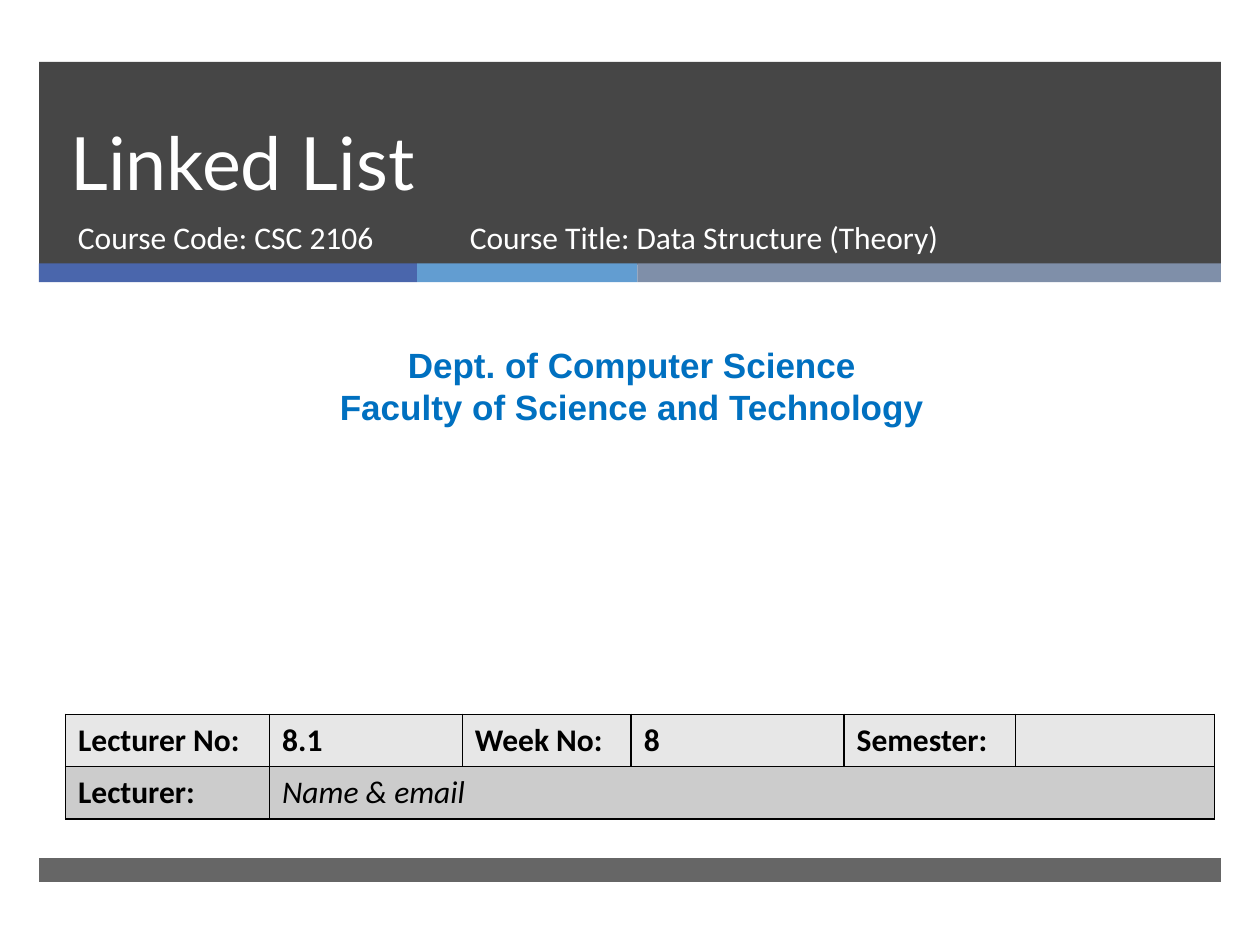
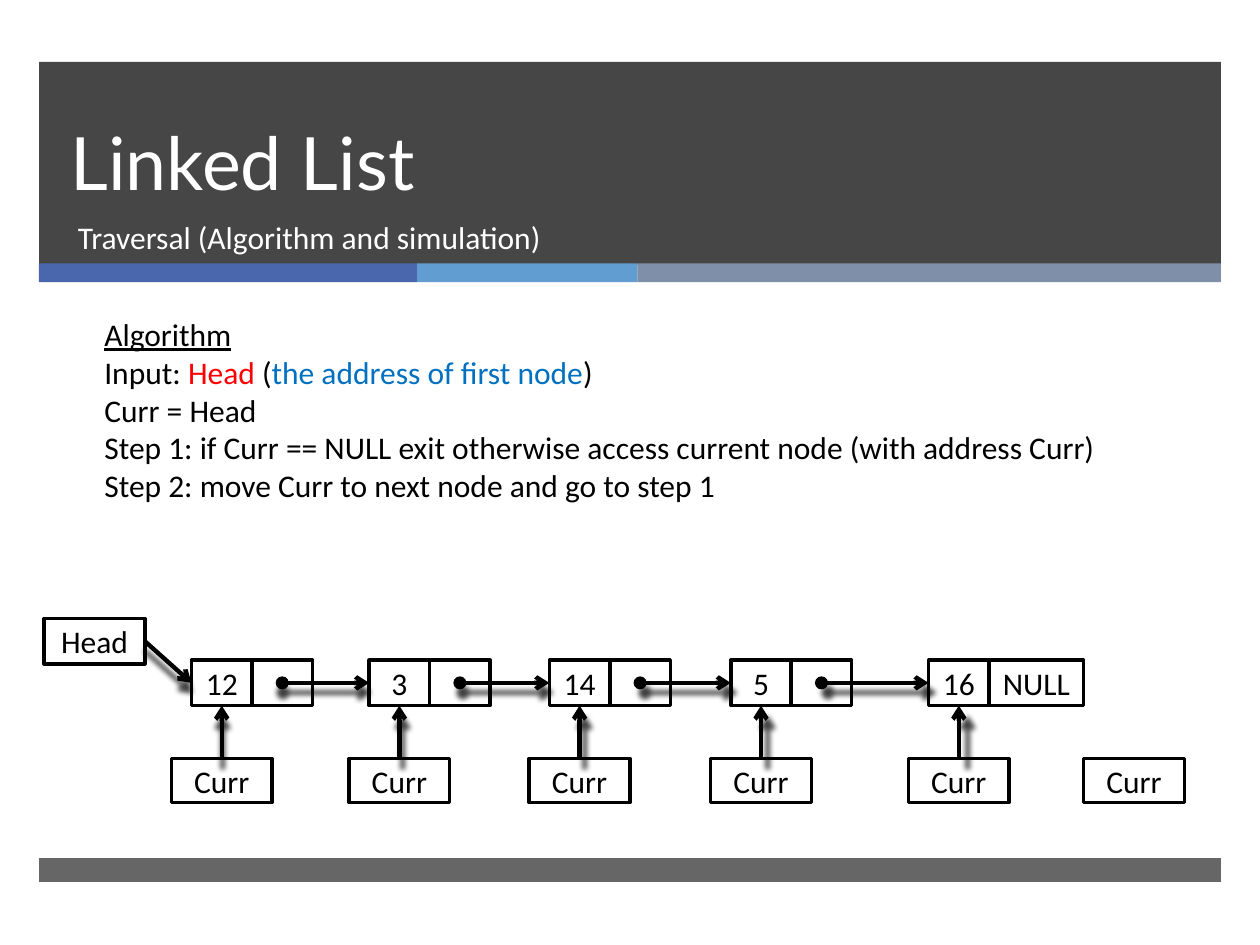
from itertools import pairwise

from lxml.etree import SubElement
from pptx import Presentation
from pptx.dml.color import RGBColor
from pptx.enum.shapes import MSO_CONNECTOR, MSO_SHAPE
from pptx.enum.text import MSO_ANCHOR, MSO_AUTO_SIZE, PP_ALIGN
from pptx.oxml.ns import qn
from pptx.util import Inches, Pt

RECTANGLE = MSO_SHAPE.RECTANGLE
STRAIGHT = MSO_CONNECTOR.STRAIGHT
LEFT, CENTER = PP_ALIGN.LEFT, PP_ALIGN.CENTER
MIDDLE, BOTTOM = MSO_ANCHOR.MIDDLE, MSO_ANCHOR.BOTTOM
NO_AUTOFIT = MSO_AUTO_SIZE.NONE

BLACK, WHITE, CHARCOAL = "000000", "FFFFFF", "262626"
BLUE, RED = "0070C0", "FF0000"
ROW_FILLS = ("E7E7E7", "CCCCCC")
STRIPES = ((3, "4A66AC"), (1.75, "629DD1"), (4.63, "7F8FA9"))
BAND_LEFT, BAND_WIDTH = 0.31, 9.38
SUBTITLE_TOP, SUBTITLE_HEIGHT = 1.68, 0.53

NODE_TOP, CELL_WIDTH, CELL_HEIGHT = 5.24, 0.48, 0.36
LABEL_WIDTH, CURR_TOP, CURR_HEIGHT = 0.8, 6.02, 0.35


def color(hex_code):
    """Turn a hex string into a colour."""
    return RGBColor.from_string(hex_code)


def style(font, size=18, name="Calibri", ink=BLACK, bold=False, italic=False):
    """Set the look of a font."""
    font.size, font.name = Pt(size), name
    font.bold, font.italic = bold, italic
    font.color.rgb = color(ink)


def add_band(slide, box, fill, opacity=100):
    """Add a plain band without outline."""
    band = slide.shapes.add_shape(RECTANGLE, *map(Inches, box))
    band.shadow.inherit = False
    band.fill.solid()
    band.fill.fore_color.rgb = color(fill)
    band.line.fill.background()
    if opacity < 100:
        tint = band.element.spPr.find(qn("a:solidFill"))[0]
        SubElement(tint, qn("a:alpha"), val=str(opacity * 1000))
    return band


def move_bands_to_layout(slide):
    """Build the header, stripes and footer and hand them to the layout."""
    bands = [add_band(slide, (BAND_LEFT, 0.49, BAND_WIDTH, 1.61), CHARCOAL, 85)]
    left = BAND_LEFT
    for width, fill in STRIPES:
        bands.append(add_band(slide, (left, 2.09, width, 0.15), fill))
        left += width
    bands.append(add_band(slide, (BAND_LEFT, 6.81, BAND_WIDTH, 0.19), CHARCOAL, 70))
    layout_tree = slide.slide_layout.shapes.element
    for position, band in enumerate(bands, start=2):
        layout_tree.insert(position, band.element)


def add_title(slide, text):
    """Place and format the title placeholder."""
    title = slide.shapes.title
    title.left, title.top = Inches(0.46), Inches(0.49)
    title.width, title.height = Inches(8.54), Inches(1.19)
    frame = title.text_frame
    frame.text = text
    frame.auto_size, frame.vertical_anchor = NO_AUTOFIT, BOTTOM
    heading = frame.paragraphs[0]
    heading.alignment, heading.line_spacing = LEFT, Pt(46)
    style(heading.font, 42, "Lato", WHITE)


def add_text(slide, box, lines, align=LEFT, **look):
    """Add a wrapping text box and return its paragraphs."""
    frame = slide.shapes.add_textbox(*map(Inches, box)).text_frame
    frame.word_wrap = True
    frame.text = "\n".join(lines)
    for paragraph in frame.paragraphs:
        paragraph.alignment = align
        style(paragraph.font, **look)
    return frame.paragraphs


def add_subtitle(slide, left, width, text):
    """Add a line of white text at the foot of the header."""
    add_text(slide, (left, SUBTITLE_TOP, width, SUBTITLE_HEIGHT), [text], ink=WHITE)


def fill_cell(cell, text, fill, **look):
    """Write a table cell with black borders."""
    cell.text = text
    cell.vertical_anchor = MIDDLE
    style(cell.text_frame.paragraphs[0].font, **look)
    properties = cell._tc.get_or_add_tcPr()
    for side in ("a:lnL", "a:lnR", "a:lnT", "a:lnB"):
        border = SubElement(properties, qn(side), w=str(Pt(1)))
        SubElement(SubElement(border, qn("a:solidFill")), qn("a:srgbClr"), val=BLACK)
    cell.fill.solid()
    cell.fill.fore_color.rgb = color(fill)


def add_lecture_table(slide, box):
    """Add the table with lecture details."""
    rows = (("Lecturer No:", "8.1", "Week No:", "8", "Semester:", ""),
            ("Lecturer:", "Name & email", "", "", "", ""))
    table = slide.shapes.add_table(2, 6, *map(Inches, box)).table
    for column, width in zip(table.columns, (1.62, 1.53, 1.34, 1.69, 1.36, 1.58)):
        column.width = Inches(width)
    for r, (row, fill) in enumerate(zip(rows, ROW_FILLS)):
        for c, text in enumerate(row):
            is_name = r == 1 and c > 0
            fill_cell(table.cell(r, c), text, fill, bold=not is_name, italic=is_name)
    table.cell(1, 1).merge(table.cell(1, 5))


def add_box(slide, box, text=""):
    """Add an outlined white box with centred text."""
    shape = slide.shapes.add_shape(RECTANGLE, *map(Inches, box))
    shape.shadow.inherit = False
    shape.fill.solid()
    shape.fill.fore_color.rgb = color(WHITE)
    shape.line.color.rgb = color(BLACK)
    shape.line.width = Pt(2)
    frame = shape.text_frame
    frame.margin_left = frame.margin_right = 0
    frame.vertical_anchor = MIDDLE
    frame.text = text
    label = frame.paragraphs[0]
    label.alignment = CENTER
    style(label.font)


def add_arrow(slide, start, end, dotted=False):
    """Add a shadowed arrow, with a dot at its start if asked."""
    arrow = slide.shapes.add_connector(STRAIGHT, *map(Inches, start + end))
    arrow.line.color.rgb = color(BLACK)
    arrow.line.width = Pt(2.5)
    properties = arrow.element.spPr
    line = properties.find(qn("a:ln"))
    if dotted:
        SubElement(line, qn("a:headEnd"), type="oval")
    SubElement(line, qn("a:tailEnd"), type="arrow")
    shadow = SubElement(SubElement(properties, qn("a:effectLst")), qn("a:outerShdw"),
                        blurRad=str(Pt(3)), dist=str(Pt(2)), dir="6600000",
                        sx="101000", sy="101000", algn="tl", rotWithShape="0")
    tint = SubElement(shadow, qn("a:srgbClr"), val=BLACK)
    SubElement(tint, qn("a:alpha"), val="75000")


def add_algorithm(slide, box):
    """Add the steps of the traversal."""
    heading, given, *_ = add_text(slide, box, (
        "Algorithm", "", "Curr = Head",
        "Step 1: if Curr == NULL exit otherwise access current node (with address Curr)",
        "Step 2: move Curr to next node and go to step 1"))
    heading.font.underline = True
    for text, ink in (("Input: ", BLACK), ("Head", RED), (" (", BLACK),
                      ("the address of first node", BLUE), (")", BLACK)):
        run = given.add_run()
        run.text = text
        run.font.color.rgb = color(ink)


def add_curr(slide, left):
    """Add a Curr label."""
    add_box(slide, (left, CURR_TOP, LABEL_WIDTH, CURR_HEIGHT), "Curr")


def add_linked_list(slide):
    """Draw the nodes, their links and each place of Curr."""
    nodes = {"12": 1.52, "3": 2.93, "14": 4.36, "5": 5.8, "16": 7.37}
    lefts = list(nodes.values())
    link_y = NODE_TOP + CELL_HEIGHT / 2
    add_box(slide, (0.35, 4.91, LABEL_WIDTH, CELL_HEIGHT), "Head")
    for value, left in nodes.items():
        is_last = left == lefts[-1]
        add_box(slide, (left, NODE_TOP, CELL_WIDTH, CELL_HEIGHT), value)
        add_box(slide, (left + CELL_WIDTH, NODE_TOP, 0.75 if is_last else CELL_WIDTH,
                        CELL_HEIGHT), "NULL" if is_last else "")
    add_arrow(slide, (1.15, 5.09), (lefts[0], link_y))
    for left, following in pairwise(lefts):
        add_arrow(slide, (left + 1.5 * CELL_WIDTH, link_y), (following, link_y), dotted=True)
    for left in lefts:
        center = left + CELL_WIDTH / 2
        add_curr(slide, center - LABEL_WIDTH / 2)
        add_arrow(slide, (center, CURR_TOP), (center, NODE_TOP + CELL_HEIGHT))
    add_curr(slide, 8.6)


def build_cover(slide):
    """Fill the opening slide."""
    add_title(slide, "Linked List")
    add_subtitle(slide, 0.52, 3.05, "Course Code: CSC 2106")
    add_subtitle(slide, 3.63, 4.55, "Course Title: Data Structure (Theory)")
    add_text(slide, (0.08, 2.68, 9.87, 0.77),
             ("Dept. of Computer Science", "Faculty of Science and Technology"),
             CENTER, size=20, name="Arial", ink=BLUE, bold=True)
    add_lecture_table(slide, (0.52, 5.67, 9.12, 0.83))


def build_traversal(slide):
    """Fill the traversal slide."""
    add_title(slide, "Linked List")
    add_subtitle(slide, 0.52, 8.48, "Traversal (Algorithm and simulation)")
    add_linked_list(slide)
    add_algorithm(slide, (0.73, 2.45, 8.49, 1.62))


def main():
    """Build and save the deck."""
    deck = Presentation()
    deck.slide_width, deck.slide_height = Inches(10), Inches(7.5)
    title_only = deck.slide_layouts[5]
    cover, traversal = (deck.slides.add_slide(title_only) for _ in range(2))
    move_bands_to_layout(cover)
    build_cover(cover)
    build_traversal(traversal)
    deck.save("out.pptx")


if __name__ == "__main__":
    main()
